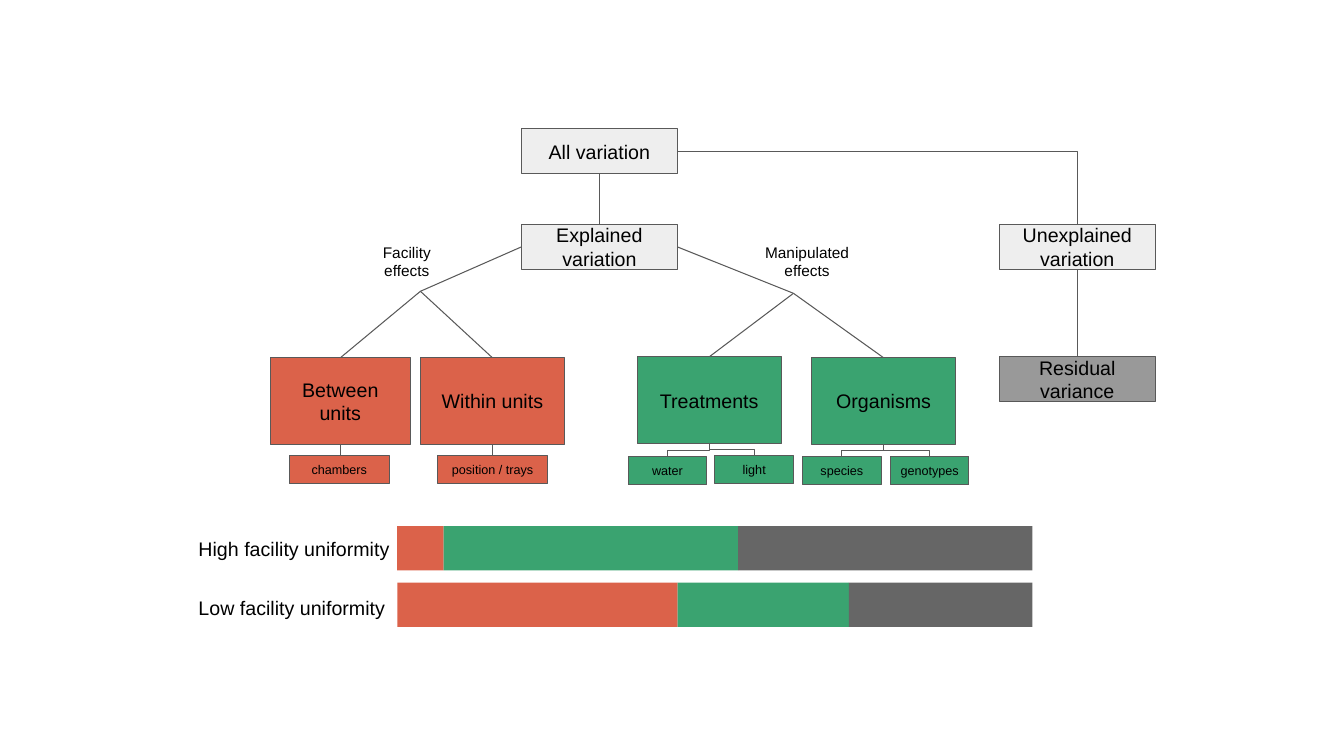
"""Build a variation-partitioning tree with two facility uniformity bars."""
from dataclasses import dataclass

from lxml.etree import SubElement
from pptx import Presentation
from pptx.dml.color import RGBColor as RGB
from pptx.enum.shapes import MSO_CONNECTOR as CONN, MSO_SHAPE as SHAPE
from pptx.enum.text import MSO_ANCHOR as ANCHOR, PP_ALIGN as ALIGN
from pptx.oxml.ns import qn
from pptx.util import Inches, Pt

COLORS = {"text": "000000", "line": "595959", "node": "EEEEEE", "residual": "999999",
          "facility": "DB624A", "manipulated": "3AA370", "unexplained": "666666"}
COLS, ROWS = 133.3, 75
Point = tuple[float, float]

prs = Presentation()
prs.slide_width, prs.slide_height = Inches(13.33), Inches(7.5)
s = prs.slides.add_slide(prs.slide_layouts[6])


@dataclass(frozen=True)
class Box:
    """A rectangle on the grid, with optional text."""
    x: float
    y: float
    w: float
    h: float
    fill: str = ""
    text: str = ""
    size: int = 14

    @property
    def top(self) -> Point:
        return self.x + self.w / 2, self.y

    @property
    def bottom(self) -> Point:
        return self.x + self.w / 2, self.y + self.h

    @property
    def left(self) -> Point:
        return self.x, self.y + self.h / 2

    @property
    def right(self) -> Point:
        return self.x + self.w, self.y + self.h / 2


def col(n: float) -> int:
    """Convert grid columns to a length."""
    return round(prs.slide_width * n / COLS)


def row(n: float) -> int:
    """Convert grid rows to a length."""
    return round(prs.slide_height * n / ROWS)


def write(sp, box: Box, align, anchor) -> None:
    """Set the text of a shape and its format."""
    tf = sp.text_frame
    margins = {f"margin_{side}": Inches(0.1) for side in ("left", "top", "right", "bottom")}
    for name, value in {**margins, "word_wrap": True, "vertical_anchor": anchor}.items():
        setattr(tf, name, value)
    tf.text = box.text
    for p in tf.paragraphs:
        p.alignment = align
        for r in p.runs:
            for name, value in {"name": "Arial", "size": Pt(box.size)}.items():
                setattr(r.font, name, value)
            r.font.color.rgb = RGB.from_string(COLORS["text"])


def draw_box(box: Box, outlined: bool = True) -> None:
    """Draw a filled rectangle."""
    sp = s.shapes.add_shape(SHAPE.RECTANGLE, col(box.x), row(box.y), col(box.w), row(box.h))
    sp.shadow.inherit = False
    sp.fill.solid()
    sp.fill.fore_color.rgb = RGB.from_string(COLORS[box.fill])
    if outlined:
        sp.line.color.rgb = RGB.from_string(COLORS["line"])
        sp.line.width = Pt(0.75)
    else:
        sp.line.fill.background()
    if box.text:
        write(sp, box, ALIGN.CENTER, ANCHOR.MIDDLE)


def draw_label(box: Box, align) -> None:
    """Draw a plain text box."""
    sp = s.shapes.add_textbox(col(box.x), row(box.y), col(box.w), row(box.h))
    write(sp, box, align, ANCHOR.TOP)


def draw_line(start: Point, end: Point, kind=CONN.STRAIGHT):
    """Draw a connector between two grid points."""
    cx = s.shapes.add_connector(kind, col(start[0]), row(start[1]), col(end[0]), row(end[1]))
    cx.line.color.rgb = RGB.from_string(COLORS["line"])
    cx.line.width = Pt(0.75)
    SubElement(cx._element.spPr, qn("a:effectLst"))
    return cx


def draw_branch(parent: Box, child: Box) -> None:
    """Join a child's top to its parent's bottom with a turned elbow."""
    (px, py), (qx, qy) = parent.bottom, child.top
    if abs(px - qx) < 0.3:
        draw_line((px, py), (px, qy))
        return
    side = 1 if qx > px else -1
    mx, my, half_w, half_h = (px + qx) / 2, (py + qy) / 2, (qy - py) / 2, abs(px - qx) / 2
    cx = draw_line((mx + side * half_w, my - half_h), (mx - side * half_w, my + half_h), CONN.ELBOW)
    cx._element.spPr.find(qn("a:xfrm")).set("rot", str(side * 90 % 360 * 60000))


total = Box(51.7, 12.8, 15.5, 4.4, "node", "All variation")
explained = Box(51.7, 22.3, 15.5, 4.4, "node", "Explained variation")
unexplained = Box(99.1, 22.3, 15.5, 4.4, "node", "Unexplained variation")
residual = Box(99.1, 35.4, 15.5, 4.4, "residual", "Residual\nvariance")
between = Box(26.8, 35.5, 13.9, 8.6, "facility", "Between units")
within = Box(41.7, 35.5, 14.3, 8.6, "facility", "Within units")
treatments = Box(63.2, 35.4, 14.3, 8.6, "manipulated", "Treatments")
organisms = Box(80.5, 35.5, 14.3, 8.6, "manipulated", "Organisms")

LEAVES = {
    between: [Box(28.7, 45.2, 9.9, 2.8, "facility", "chambers", 9)],
    within: [Box(43.4, 45.2, 10.9, 2.8, "facility", "position / trays", 9)],
    treatments: [Box(62.3, 45.3, 7.8, 2.8, "manipulated", "water", 9),
                 Box(70.9, 45.2, 7.8, 2.8, "manipulated", "light", 9)],
    organisms: [Box(79.6, 45.3, 7.8, 2.8, "manipulated", "species", 9),
                Box(88.3, 45.3, 7.8, 2.8, "manipulated", "genotypes", 9)],
}
FORKS = [
    (explained.left, (41.7, 28.9), (between, within),
     Box(34.9, 23.1, 10.9, 2.8, text="Facility effects", size=11)),
    (explained.right, (78.7, 29.1), (treatments, organisms),
     Box(73.1, 23.1, 13.9, 2.8, text="Manipulated effects", size=11)),
]
BARS = [
    (52.2, Box(18.7, 52.3, 24.5, 2.8, text="High facility uniformity"), (4.6, 29.2, 29.2)),
    (57.8, Box(18.7, 58.1, 24.5, 2.8, text="Low facility uniformity"), (27.8, 17, 18.2)),
]

for start, hub, groups, label in FORKS:
    draw_line(start, hub)
    for group in groups:
        draw_line(hub, group.top)
    draw_label(label, ALIGN.CENTER)

draw_branch(total, explained)
draw_branch(unexplained, residual)
corner = draw_line(total.right, unexplained.top, CONN.ELBOW)
corner._element.spPr.find(qn("a:prstGeom")).set("prst", "bentConnector2")

for node in (total, explained, unexplained, residual, *LEAVES):
    draw_box(node)
for group, leaves in LEAVES.items():
    for leaf in leaves:
        draw_branch(group, leaf)
        draw_box(leaf)

for y, label, widths in BARS:
    draw_label(label, ALIGN.LEFT)
    x = 39.4
    for fill, width in zip(("facility", "manipulated", "unexplained"), widths):
        draw_box(Box(x, y, width, 4.4, fill), outlined=False)
        x += width

prs.save("out.pptx")
